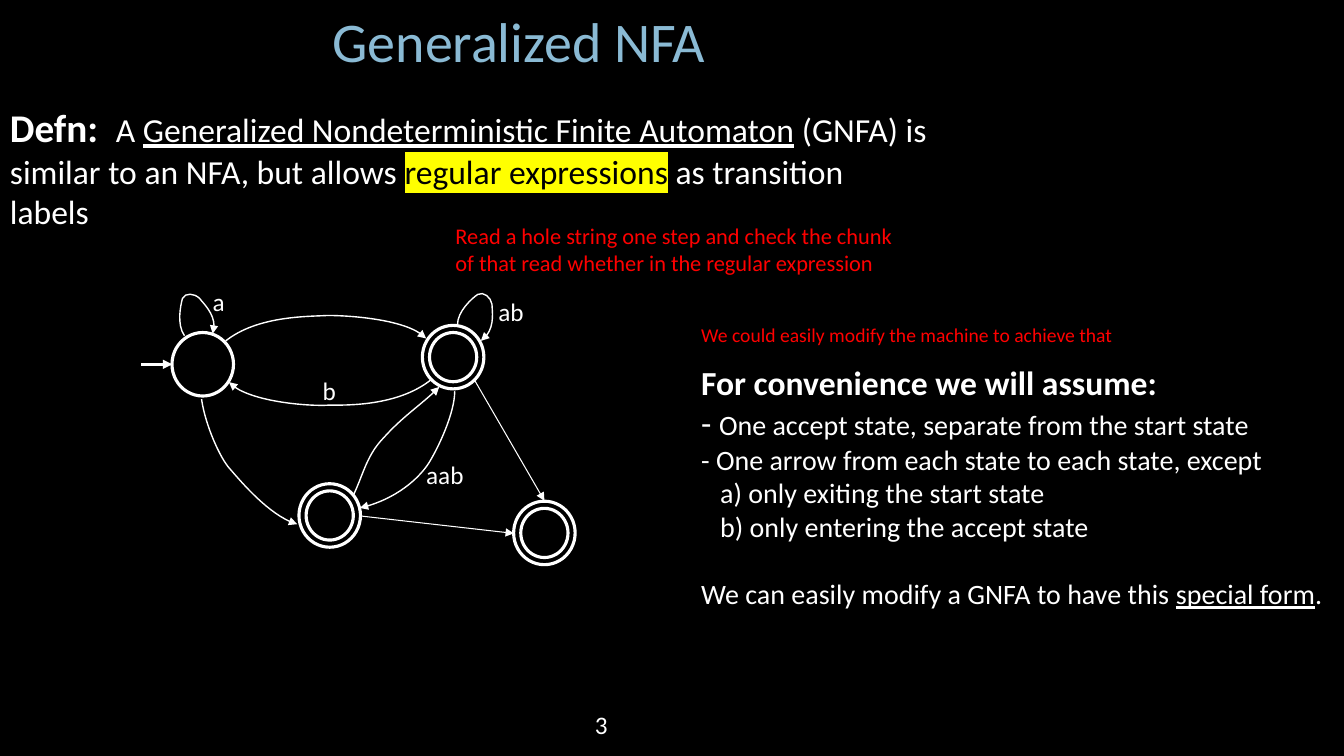
from dataclasses import dataclass
from typing import Optional

from lxml import etree
from pptx import Presentation
from pptx.dml.color import RGBColor
from pptx.enum.shapes import MSO_CONNECTOR as Conn, MSO_SHAPE as Shape
from pptx.enum.text import MSO_AUTO_SIZE as AutoSize, PP_ALIGN as Align
from pptx.oxml.ns import qn
from pptx.util import Cm, Pt

BLACK = RGBColor(0x00, 0x00, 0x00)
WHITE = RGBColor(0xFF, 0xFF, 0xFF)
RED = RGBColor(0xFF, 0x00, 0x00)
SKY = RGBColor(0x8A, 0xBA, 0xD4)
YELLOW = RGBColor(0xFF, 0xFF, 0x00)

OUTER = (1.55, 1.6)
INNER = (1.19, 1.24)

Point = tuple[float, float]


@dataclass
class State:
    center: Point
    accepting: bool = True


@dataclass
class Arrow:
    start: Point
    end: Point
    weight: float = 0.75


@dataclass
class Curve:
    """Cubic curve: a start, then two controls and an end per piece."""
    points: list[Point]


@dataclass
class Label:
    text: str
    left: float
    top: float
    width: float
    height: float = 1.02
    size: float = 18
    color: RGBColor = WHITE
    wrap: bool = False
    align: Align = Align.LEFT


@dataclass
class Piece:
    """Run of text with what sets it apart from its paragraph."""
    text: str
    size: Optional[float] = None
    bold: Optional[bool] = None
    underline: Optional[bool] = None
    color: Optional[RGBColor] = None
    highlight: Optional[RGBColor] = None


LINE_BREAK = Piece("\n")

STATES = [
    State((5.11, 9.18), accepting=False),
    State((11.42, 9.0)),
    State((8.31, 12.99)),
    State((13.72, 13.43)),
]
ARROWS = [
    Arrow((3.56, 9.18), (4.34, 9.18), 2.25),
    Arrow((11.96, 9.58), (13.72, 12.62)),
    Arrow((9.07, 13.0), (12.95, 13.44)),
]
CURVES = [
    Curve([(5.69, 8.59), (6.5, 7.95), (7.77, 7.98), (8.26, 7.95),
           (8.69, 7.95), (10.29, 8.03), (10.74, 8.53)]),
    Curve([(10.85, 9.58), (10.01, 10.24), (8.74, 10.21), (8.28, 10.21),
           (7.85, 10.24), (6.22, 10.13), (5.77, 9.63)]),
    Curve([(4.65, 8.46), (4.45, 8.18), (4.55, 7.7), (4.6, 7.52),
           (4.67, 7.37), (4.9, 7.39), (5.03, 7.52),
           (5.13, 7.65), (5.51, 8.0), (5.36, 8.41)]),
    Curve([(11.53, 8.18), (11.53, 7.85), (11.89, 7.52), (12.04, 7.42),
           (12.19, 7.34), (12.37, 7.49), (12.4, 7.67),
           (12.4, 7.82), (12.5, 8.33), (12.12, 8.59)]),
    Curve([(5.08, 10.06), (5.18, 10.74), (5.56, 11.56), (5.79, 11.81),
           (6.02, 12.07), (6.78, 13.0), (7.49, 13.21)]),
    Curve([(11.46, 9.86), (11.46, 10.41), (11.05, 11.28), (10.8, 11.68),
           (10.62, 11.96), (10.06, 12.57), (9.07, 12.8)]),
    Curve([(8.92, 12.45), (9.17, 11.91), (9.25, 11.46), (9.68, 11.02),
           (10.13, 10.52), (10.67, 10.16), (11.07, 9.75)]),
]
LABELS = [
    Label("Generalized NFA", 2.82, 0.03, 20.52, 1.96, 40, SKY, True, Align.CENTER),
    Label("a", 5.11, 7.09, 0.84),
    Label("b", 7.88, 9.34, 0.86),
    Label("ab", 12.31, 7.34, 1.17),
    Label("aab", 10.49, 11.46, 1.47),
    Label("3", 14.74, 17.74, 0.84),
    Label("Read a hole string one step and check the chunk of that read "
          "whether in the regular expression", 11.23, 5.47, 11.58, 1.63, 16, RED, True),
    Label("We could easily modify the machine to achieve that",
          17.42, 8.0, 11.58, 0.86, 14, RED, True),
]


def add_box(s, left: float, top: float, width: float, height: float, wrap: bool = True):
    tf = s.shapes.add_textbox(Cm(left), Cm(top), Cm(width), Cm(height)).text_frame
    tf.word_wrap = wrap
    tf.auto_size = AutoSize.SHAPE_TO_FIT_TEXT
    return tf


def set_font(p, size: float, color: RGBColor = WHITE) -> None:
    p.font.name = "Calibri"
    p.font.size = Pt(size)
    p.font.color.rgb = color


def add_label(s, label: Label) -> None:
    tf = add_box(s, label.left, label.top, label.width, label.height, label.wrap)
    p = tf.paragraphs[0]
    p.alignment = label.align
    p.add_run().text = label.text
    set_font(p, label.size, label.color)


def add_pieces(p, pieces: list[Piece]) -> None:
    for piece in pieces:
        if piece is LINE_BREAK:
            p.add_line_break()
            continue
        r = p.add_run()
        r.text = piece.text
        r.font.size = Pt(piece.size) if piece.size else None
        r.font.bold = piece.bold
        r.font.underline = piece.underline
        if piece.color is not None:
            r.font.color.rgb = piece.color
        if piece.highlight is not None:
            mark = etree.SubElement(r.font._element, qn("a:highlight"))
            etree.SubElement(mark, qn("a:srgbClr"), val=str(piece.highlight))


def add_head(sp) -> None:
    etree.SubElement(sp.line._get_or_add_ln(), qn("a:tailEnd"), type="triangle")


def set_outline(sp, weight: float) -> None:
    sp.line.color.rgb = WHITE
    sp.line.width = Pt(weight)


def add_state(s, state: State) -> None:
    x, y = state.center
    for w, h in [OUTER, INNER] if state.accepting else [OUTER]:
        sp = s.shapes.add_shape(Shape.OVAL, Cm(x - w / 2), Cm(y - h / 2), Cm(w), Cm(h))
        sp.shadow.inherit = False
        sp.fill.background()
        set_outline(sp, 2.25)


def add_arrow(s, arrow: Arrow) -> None:
    sp = s.shapes.add_connector(Conn.STRAIGHT, *map(Cm, arrow.start + arrow.end))
    set_outline(sp, arrow.weight)
    add_head(sp)
    etree.SubElement(sp._element.spPr, qn("a:effectLst"))


def bend(sp) -> None:
    """Turn each three straight segments into one cubic segment."""
    segments = list(sp._element.iter(qn("a:lnTo")))
    outline = segments[0].getparent()
    for i in range(0, len(segments), 3):
        cubic = etree.SubElement(outline, qn("a:cubicBezTo"))
        for segment in segments[i:i + 3]:
            cubic.append(segment[0])
            outline.remove(segment)


def add_curve(s, curve: Curve) -> None:
    start, *others = [tuple(map(Cm, point)) for point in curve.points]
    builder = s.shapes.build_freeform(*start)
    builder.add_line_segments(others, close=False)
    sp = builder.convert_to_shape()
    bend(sp)
    sp.shadow.inherit = False
    sp.fill.background()
    set_outline(sp, 1)
    add_head(sp)


def add_definition(s) -> None:
    p = add_box(s, 0, 2.48, 23.67, 2.49).paragraphs[0]
    tabs = etree.SubElement(p._p.get_or_add_pPr(), qn("a:tabLst"))
    etree.SubElement(tabs, qn("a:tab"), pos=str(Cm(2.67)), algn="l")
    set_font(p, 24)
    add_pieces(p, [Piece("Defn:", size=28, bold=True), Piece("\tA "),
                   Piece("Generalized Nondeterministic Finite Automaton", underline=True),
                   Piece(" (GNFA) is"), LINE_BREAK,
                   Piece("similar to an NFA, but allows "),
                   Piece("regular expressions", color=BLACK, highlight=YELLOW),
                   Piece(" as transition labels")])


def add_assumptions(s) -> None:
    tf = add_box(s, 17.42, 8.99, 16.38, 6.58)
    lines = [
        (0, 0, [Piece("For convenience we will assume:", size=24, bold=True)]),
        (0, 0, [Piece("- ", size=24), Piece("One accept state, separate from the start state")]),
        (0, 0, [Piece("- One arrow from each state to each state, except")]),
        (0.48, 0, [Piece("a) only exiting the start state"), LINE_BREAK,
                   Piece("b) only entering the accept state")]),
        (0, 24, [Piece("We can easily modify a GNFA to have this "),
                 Piece("special form", underline=True), Piece(".")]),
    ]
    for n, (indent, before, pieces) in enumerate(lines):
        p = tf.add_paragraph() if n else tf.paragraphs[0]
        if indent:
            p._p.get_or_add_pPr().set("marL", str(Cm(indent)))
        if before:
            p.space_before = Pt(before)
        set_font(p, 20)
        add_pieces(p, pieces)


def main() -> None:
    prs = Presentation()
    prs.slide_width, prs.slide_height = Cm(33.87), Cm(19.05)
    s = prs.slides.add_slide(prs.slide_layouts[6])
    s.background.fill.solid()
    s.background.fill.fore_color.rgb = BLACK
    add_definition(s)
    add_assumptions(s)
    for draw, items in [(add_state, STATES), (add_curve, CURVES),
                        (add_arrow, ARROWS), (add_label, LABELS)]:
        for item in items:
            draw(s, item)
    prs.save("out.pptx")


if __name__ == "__main__":
    main()
